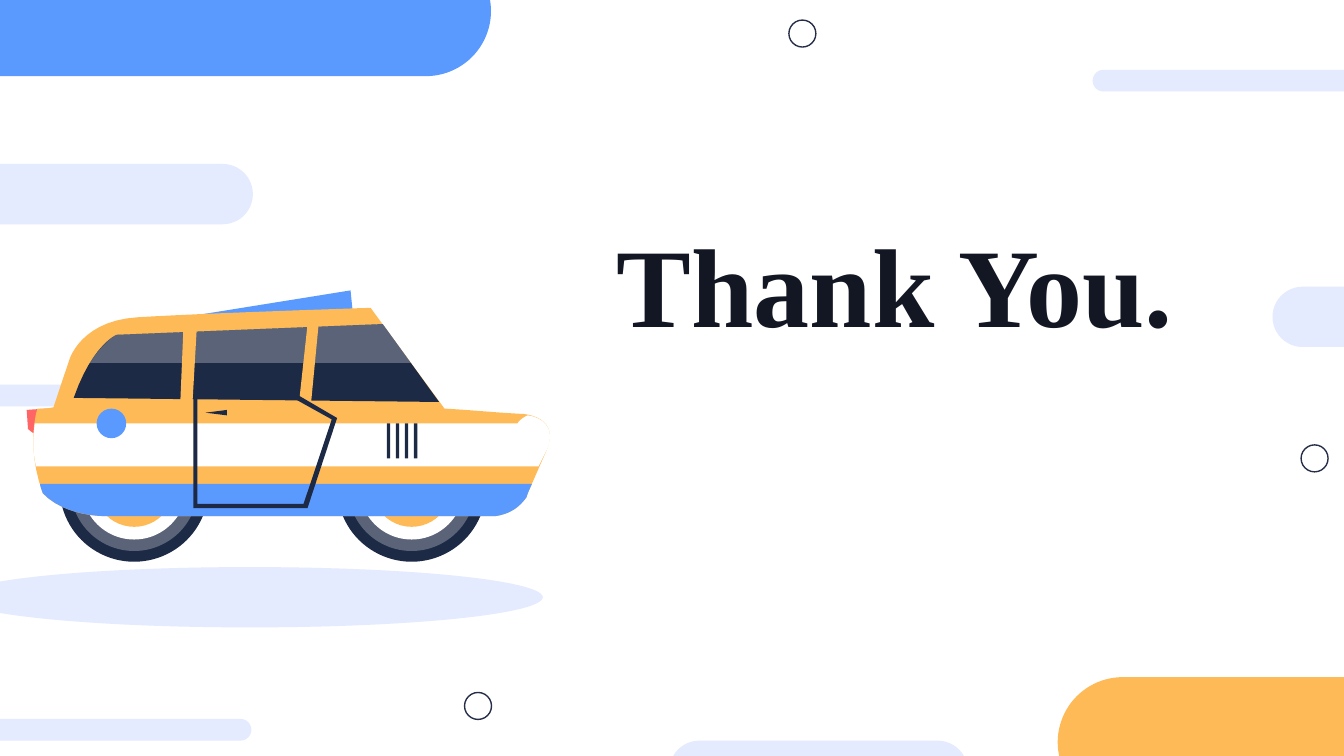
from collections import namedtuple

from lxml.etree import SubElement
from pptx import Presentation
from pptx.dml.color import RGBColor
from pptx.enum.shapes import MSO_SHAPE as SHAPE
from pptx.enum.text import MSO_ANCHOR as ANCHOR, MSO_AUTO_SIZE as AUTO, PP_ALIGN as ALIGN
from pptx.oxml.ns import qn
from pptx.util import Cm, Pt

BLUE = RGBColor(0x5A, 0x9A, 0xFF)
PALE = RGBColor(0xE4, 0xEB, 0xFF)
ORANGE = RGBColor(0xFF, 0xBA, 0x58)
RED = RGBColor(0xFF, 0x65, 0x65)
NAVY = RGBColor(0x1D, 0x2A, 0x46)
RING = RGBColor(0x26, 0x2E, 0x47)
INK = RGBColor(0x13, 0x17, 0x24)
HUB = RGBColor(0x41, 0x40, 0x42)
WHITE = RGBColor(0xFF, 0xFF, 0xFF)

Box = namedtuple("Box", "x y w h")

LARGE, MEDIUM, THIN = (10.85, 2.46), (5.64, 1.14), (9.68, 0.41)
BARS = [
    (-1.57, -1.02, LARGE, BLUE),
    (20.65, 1.32, THIN, PALE),
    (-0.86, 3.1, MEDIUM, PALE),
    (19.99, 12.8, LARGE, ORANGE),
    (12.65, 14, MEDIUM, PALE),
    (-4.93, 13.59, THIN, PALE),
    (-5.41, 7.27, THIN, PALE),
    (24.05, 5.42, MEDIUM, PALE),
]
RINGS = [(8.78, 13.09), (14.91, 0.38), (24.59, 8.41)]
RING_SIZE = 0.51

CAR_UNITS = 397
ROOF_RACK = [(242, 0), (244, 20), (130, 18)]
TAIL_LIGHT = [(19, 88), (32, 88, 41, 94, 41, 100), (41, 106, 32, 110, 20, 110),
              (8, 110, 2, 103, 2, 103), (1, 89), (1, 89, 13, 88, 19, 88)]
SILL = [(374, 151), (373, 154), (370, 158, 364, 166, 350, 168), (58, 168),
        (58, 168, 29, 168, 13, 151)]
BODY = [(257, 13), (312, 88), (331, 89, 350, 91, 371, 92),
        (378, 93, 397, 97, 388, 119), *SILL,
        (0, 115, 9, 88, 9, 88), (13, 88, 17, 88, 21, 87), (33, 51),
        (36, 43, 48, 22, 84, 20), (132, 17, 257, 13, 257, 13)]
SKIRT = [(377, 144), *SILL, (12, 148, 11, 146, 11, 144)]
STRIPE = [(386, 99), (390, 103, 392, 109, 388, 119), (382, 131), (8, 131),
          (5, 118, 6, 107, 7, 99)]
HEADLIGHT = [(374, 93), (382, 94, 395, 100, 389, 117), (383, 117),
             (374, 117, 366, 113, 365, 107), (364, 101, 367, 96, 374, 93)]
WINDOWS = [(266, 25), (308, 83), (36, 80), (50, 40, 68, 33, 68, 33)]
GLARE = [(266, 25), (287, 54), (48, 54), (59, 37, 68, 33, 68, 33)]
PILLARS = [[(118, 20), (128, 21), (124, 91), (115, 91)],
           [(211, 17), (219, 18), (212, 91), (203, 90)]]
DOOR = [(203, 78), (232, 95), (210, 162), (125, 162), (125, 79), (128, 79),
        (128, 159), (207, 159), (228, 96), (201, 81)]
HANDLE = [(150, 89), (150, 93), (134, 91)]
WHEEL_CENTERS = [(287.5, 146.5), (81, 146.5)]
WHEEL_LAYERS = [(55.5, NAVY, None), (47.5, WHITE, 27), (39, WHITE, None),
                (29.5, ORANGE, None), (19.5, HUB, None)]


def paint(sp, color, alpha=None):
    sp.shadow.inherit = False
    sp.line.fill.background()
    sp.fill.solid()
    sp.fill.fore_color.rgb = color
    if alpha is not None:
        clr = sp.fill._xPr.find(qn("a:solidFill"))[0]
        SubElement(clr, qn("a:alpha")).set("val", str(alpha * 1000))


def add_preset(s, kind, x, y, w, h):
    return s.shapes.add_shape(kind, Cm(x), Cm(y), Cm(w), Cm(h))


def flatten(outline, steps=12):
    points = [outline[0]]
    for seg in outline[1:]:
        if len(seg) == 2:
            points.append(seg)
            continue
        x0, y0 = points[-1]
        x1, y1, x2, y2, x3, y3 = seg
        for i in range(1, steps + 1):
            t = i / steps
            a, b, c, d = (1 - t) ** 3, 3 * t * (1 - t) ** 2, 3 * t * t * (1 - t), t ** 3
            points.append((a * x0 + b * x1 + c * x2 + d * x3,
                           a * y0 + b * y1 + c * y2 + d * y3))
    return points


def add_decor(s, box):
    for x, y, (w, h), color in BARS:
        sp = add_preset(s, SHAPE.ROUNDED_RECTANGLE, box.x + x, box.y + y, w, h)
        sp.adjustments[0] = 0.5
        paint(sp, color)
    for x, y in RINGS:
        sp = add_preset(s, SHAPE.OVAL, box.x + x, box.y + y, RING_SIZE, RING_SIZE)
        sp.shadow.inherit = False
        sp.fill.background()
        sp.line.color.rgb = RING
        sp.line.width = Pt(0.75)


def add_title(s, box):
    sp = s.shapes.title
    sp.left, sp.top, sp.width, sp.height = map(Cm, box)
    tf = sp.text_frame
    tf.word_wrap = True
    tf.auto_size = AUTO.NONE
    tf.vertical_anchor = ANCHOR.BOTTOM
    tf.margin_left = tf.margin_right = tf.margin_top = tf.margin_bottom = Cm(0.25)
    p = tf.paragraphs[0]
    p.alignment = ALIGN.RIGHT
    r = p.add_run()
    r.text = "Thank You."
    r.font.name = "Times New Roman"
    r.font.size = Pt(60)
    r.font.bold = True
    r.font.color.rgb = INK


def add_ground(s, box):
    paint(add_preset(s, SHAPE.OVAL, *box), PALE)


def add_car(s, box):
    unit = box.w / CAR_UNITS

    def outline(path, color, alpha=None):
        points = [(Cm(box.x + x * unit), Cm(box.y + y * unit)) for x, y in flatten(path)]
        builder = s.shapes.build_freeform(*points[0])
        builder.add_line_segments(points[1:], close=True)
        paint(builder.convert_to_shape(), color, alpha)

    def preset(kind, x, y, w, h, color, alpha=None):
        sp = add_preset(s, kind, box.x + x * unit, box.y + y * unit, w * unit, h * unit)
        paint(sp, color, alpha)

    def disc(cx, cy, radius, color, alpha=None):
        preset(SHAPE.OVAL, cx - radius, cy - radius, 2 * radius, 2 * radius, color, alpha)

    outline(ROOF_RACK, BLUE)
    outline(TAIL_LIGHT, RED)
    for cx, cy in WHEEL_CENTERS:
        for radius, color, alpha in WHEEL_LAYERS:
            disc(cx, cy, radius, color, alpha)
    for path, color in [(BODY, ORANGE), (SKIRT, BLUE), (STRIPE, WHITE), (HEADLIGHT, WHITE)]:
        outline(path, color)
    for i in range(4):
        preset(SHAPE.RECTANGLE, 269 + i * 6.75, 99, 2.5, 26, NAVY)
    outline(WINDOWS, NAVY)
    outline(GLARE, WHITE, 27)
    for pillar in PILLARS:
        outline(pillar, ORANGE)
    outline(DOOR, NAVY)
    outline(HANDLE, NAVY)
    disc(64, 99, 11, BLUE)


def main():
    prs = Presentation()
    prs.slide_width, prs.slide_height = Cm(25.4), Cm(14.29)
    s = prs.slides.add_slide(prs.slide_layouts[5])
    add_decor(s, Box(0, 0, 25.4, 14.29))
    add_title(s, Box(9.19, 3.84, 13.23, 3.02))
    add_ground(s, Box(-0.81, 10.72, 11.07, 1.14))
    add_car(s, Box(0.48, 5.49, 10.08, 5.13))
    prs.save("out.pptx")


if __name__ == "__main__":
    main()
